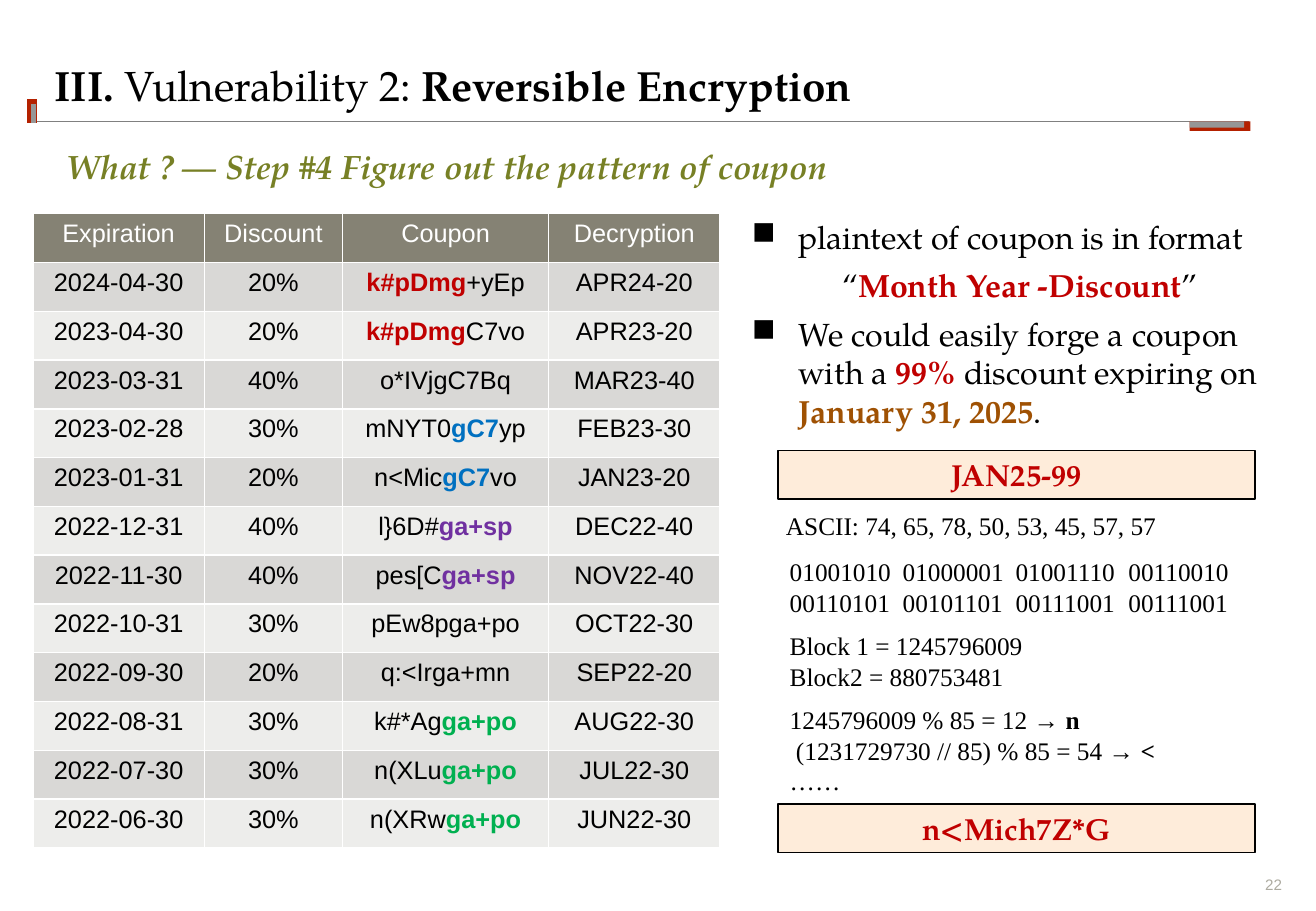
from dataclasses import dataclass

from lxml import etree
from pptx import Presentation
from pptx import util as u
from pptx.dml.color import RGBColor
from pptx.enum import shapes, text
from pptx.oxml import ns


@dataclass(frozen=True)
class Theme:
    serif: str = "TeX Gyre Pagella"
    sans: str = "Arial"
    mono_steps: str = "Times New Roman"
    ink: str = "000000"
    white: str = "FFFFFF"
    red: str = "C00000"
    blue: str = "0070C0"
    purple: str = "7030A0"
    green: str = "00B050"
    brown: str = "9F5103"
    olive: str = "778025"
    page_grey: str = "ADABA1"
    rule_grey: str = "808080"
    corner_grey: str = "969696"
    corner_red: str = "B42100"
    header: str = "858274"
    bands: tuple = ("EDEDEB", "D9D8D6")
    box: str = "FEECDA"
    title_size: int = 25
    subtitle_size: int = 20
    bullet_size: int = 19
    box_size: int = 18
    body_size: int = 15
    page_size: int = 9


theme = Theme()
LEFT, CENTER, RIGHT = text.PP_ALIGN.LEFT, text.PP_ALIGN.CENTER, text.PP_ALIGN.RIGHT
TOP, MIDDLE, BOTTOM = text.MSO_ANCHOR.TOP, text.MSO_ANCHOR.MIDDLE, text.MSO_ANCHOR.BOTTOM


def write(frame, paragraphs, font, size, colour=theme.ink, align=LEFT):
    """Each paragraph is a list of plain strings and (string, colour) pairs set in bold."""
    for index, parts in enumerate(paragraphs):
        paragraph = frame.add_paragraph() if index else frame.paragraphs[0]
        paragraph.alignment = align
        for part in parts:
            bold = isinstance(part, tuple)
            run = paragraph.add_run()
            run.text, run_colour = part if bold else (part, colour)
            run.font.name, run.font.size, run.font.bold = font, u.Pt(size), bold
            run.font.color.rgb = RGBColor.from_string(run_colour)


def add_text(place, paragraphs, font, size, colour=theme.ink, align=LEFT, anchor=TOP, inset=True):
    frame = slide.shapes.add_textbox(*map(u.Cm, place)).text_frame
    frame.word_wrap, frame.vertical_anchor = True, anchor
    if not inset:
        frame.margin_left = frame.margin_right = frame.margin_top = frame.margin_bottom = 0
    write(frame, paragraphs, font, size, colour, align)
    return frame


presentation = Presentation()
presentation.slide_width, presentation.slide_height = u.Cm(27.51), u.Cm(19.05)
slide = presentation.slides.add_slide(presentation.slide_layouts[6])

# Title rule and corner marks
for x1, y1, x2, y2, colour, width in [
    (0.76, 2.54, 26.11, 2.54, theme.rule_grey, 1),
    (0.66, 2.57, 0.66, 2.06, theme.corner_red, 6),
    (0.71, 2.57, 0.71, 2.18, theme.corner_grey, 3),
]:
    line = slide.shapes.add_connector(
        shapes.MSO_CONNECTOR.STRAIGHT, u.Cm(x1), u.Cm(y1), u.Cm(x2), u.Cm(y2))
    line.line.color.rgb = RGBColor.from_string(colour)
    line.line.width = u.Pt(width)
    etree.SubElement(line._element.spPr, ns.qn("a:effectLst"))

# Corner bars and the two highlighted coupon boxes
for place, fill, label in [
    ((24.87, 2.54, 1.27, 0.2), theme.corner_red, None),
    ((24.87, 2.54, 1.14, 0.13), theme.corner_grey, None),
    ((16.26, 9.42, 9.98, 1.02), theme.box, "JAN25-99"),
    ((16.26, 16.81, 9.98, 1.02), theme.box, "n<Mich7Z*G"),
]:
    shape = slide.shapes.add_shape(shapes.MSO_SHAPE.RECTANGLE, *map(u.Cm, place))
    shape.shadow.inherit = False
    shape.fill.solid()
    shape.fill.fore_color.rgb = RGBColor.from_string(fill)
    if label:
        shape.line.color.rgb = RGBColor.from_string(theme.ink)
        shape.line.width = u.Pt(1)
        write(shape.text_frame, [[(label, theme.red)]], theme.serif, theme.box_size, align=CENTER)
    else:
        shape.line.fill.background()

# Title, subtitle and page number
add_text((1.14, 1.02, 20.09, 1.5),
         [[("III.", theme.ink), " Vulnerability 2: ", ("Reversible Encryption", theme.ink)]],
         theme.serif, theme.title_size, anchor=MIDDLE, inset=False)
subtitle = add_text((1.14, 2.92, 20.8, 1.12),
                    [[("What ? — Step #4 Figure out the pattern of coupon", theme.olive)]],
                    theme.serif, theme.subtitle_size, anchor=MIDDLE)
subtitle.paragraphs[0].runs[0].font.italic = True
add_text((26.01, 18.31, 0.79, 0.38), [["22"]], theme.sans, theme.page_size,
         theme.page_grey, RIGHT, BOTTOM, inset=False)

# Coupon table
april = ("k#pDmg", theme.red)
year_23 = ("gC7", theme.blue)
late_22 = ("ga+sp", theme.purple)
summer_22 = ("ga+po", theme.green)
coupons = [
    ("Expiration", "Discount", ["Coupon"], "Decryption"),
    ("2024-04-30", "20%", [april, "+yEp"], "APR24-20"),
    ("2023-04-30", "20%", [april, "C7vo"], "APR23-20"),
    ("2023-03-31", "40%", ["o*IVjgC7Bq"], "MAR23-40"),
    ("2023-02-28", "30%", ["mNYT0", year_23, "yp"], "FEB23-30"),
    ("2023-01-31", "20%", ["n<Mic", year_23, "vo"], "JAN23-20"),
    ("2022-12-31", "40%", ["l}6D#", late_22], "DEC22-40"),
    ("2022-11-30", "40%", ["pes[C", late_22], "NOV22-40"),
    ("2022-10-31", "30%", ["pEw8pga+po"], "OCT22-30"),
    ("2022-09-30", "20%", ["q:<Irga+mn"], "SEP22-20"),
    ("2022-08-31", "30%", ["k#*Ag", summer_22], "AUG22-30"),
    ("2022-07-30", "30%", ["n(XLu", summer_22], "JUL22-30"),
    ("2022-06-30", "30%", ["n(XRw", summer_22], "JUN22-30"),
]
widths = (3.58, 2.89, 4.31, 3.58)
row_height = 1.02
table = slide.shapes.add_table(
    len(coupons), len(widths), u.Cm(0.69), u.Cm(4.47),
    u.Cm(sum(widths)), u.Cm(row_height * len(coupons))).table
for column, width in zip(table.columns, widths):
    column.width = u.Cm(width)
for row, values in enumerate(coupons):
    table.rows[row].height = u.Cm(row_height)
    fill = theme.bands[row % 2] if row else theme.header
    for column, value in enumerate(values):
        cell = table.cell(row, column)
        cell.fill.solid()
        cell.fill.fore_color.rgb = RGBColor.from_string(fill)
        write(cell.text_frame, [value if isinstance(value, list) else [value]], theme.sans,
              theme.body_size, theme.ink if row else theme.white, CENTER)

# Findings
findings = add_text((15.47, 4.42, 11.71, 4.75), [
    ["plaintext of coupon is in format"],
    ["“", ("Month Year -Discount", theme.red), "”"],
    ["We could easily forge a coupon with a ", ("99%", theme.red), " discount expiring on ",
     ("January 31, 2025", theme.brown), "."],
], theme.serif, theme.bullet_size)
first, pattern, forge = findings.paragraphs
pattern.alignment = CENTER
pattern.space_before = forge.space_before = u.Pt(6)
for paragraph in (first, forge):
    properties = paragraph._p.get_or_add_pPr()
    properties.set("marL", str(u.Cm(0.97)))
    properties.set("indent", str(-u.Cm(0.97)))
    etree.SubElement(properties, ns.qn("a:buChar"), char="■")

# Encoding steps
add_text((16.18, 10.54, 9.6, 0.89), [["ASCII: 74, 65, 78, 50, 53, 45, 57, 57"]],
         theme.mono_steps, theme.body_size, anchor=MIDDLE)
binary = add_text((16.26, 11.51, 10.01, 1.55), [
    ["01001010\t01000001\t01001110\t00110010"],
    ["00110101\t00101101\t00111001\t00111001"],
], theme.mono_steps, theme.body_size)
for paragraph in binary.paragraphs:
    tabs = etree.SubElement(paragraph._p.get_or_add_pPr(), ns.qn("a:tabLst"))
    for stop in range(1, 4):
        etree.SubElement(tabs, ns.qn("a:tab"), pos=str(u.Cm(2.36 * stop)), algn="l")
add_text((16.26, 13.06, 9.98, 1.55), [["Block 1 = 1245796009"], ["Block2 = 880753481"]],
         theme.mono_steps, theme.body_size)
remainders = add_text((16.26, 14.61, 10.31, 2.18), [
    ["1245796009 % 85 = 12 → ", ("n", theme.ink)],
    ["(1231729730 // 85) % 85 = 54 → ", ("<", theme.ink)],
    ["……"],
], theme.mono_steps, theme.body_size)
remainders.paragraphs[1]._p.get_or_add_pPr().set("marL", str(u.Cm(0.13)))

presentation.save("out.pptx")
